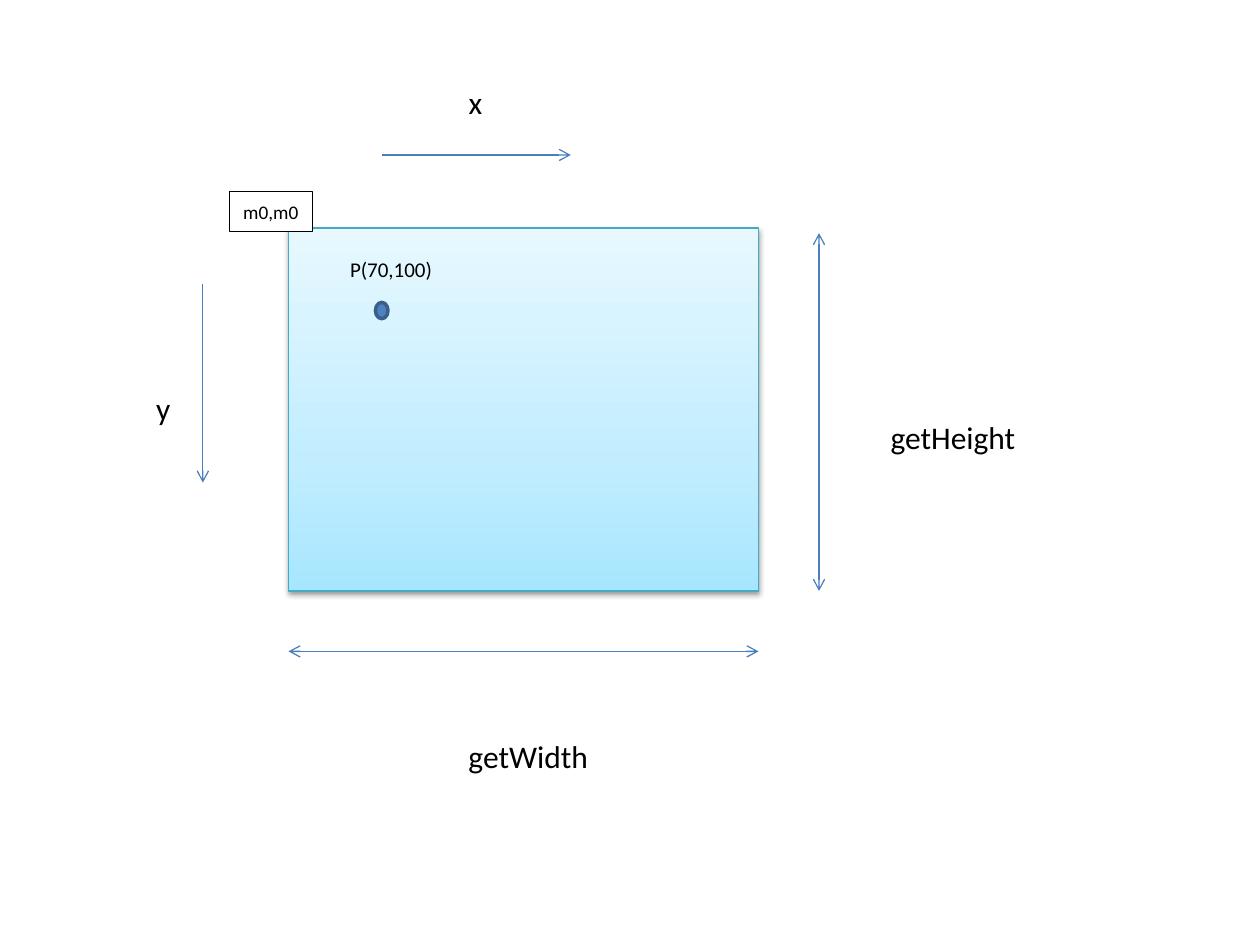
import pptx
import pptx.util
import pptx.dml.color
import pptx.enum.shapes
import pptx.enum.text
import pptx.oxml
import pptx.oxml.ns
from lxml import etree

THEME = {
    "font": "Calibri", "ink": "000000", "paper": "FFFFFF",
    "arrow": "4B7EBC", "panel_line": "46AAC5",
    "panel_stops": [(0, "A7E6FF"), (35, "C1EDFF"), (100, "E7F8FF")],
    "point": "4F81BD", "point_line": "3A5F8C",
    "label": 18, "point_label": 12, "origin_label": 11,
}
SLIDE = (10, 7.5)
LEFT, TOP, WIDTH, HEIGHT = PANEL = (2.29, 1.81, 3.73, 2.88)
RIGHT, BOTTOM = LEFT + WIDTH, TOP + HEIGHT
ORIGIN = (1.82, 1.52, 0.66, 0.32)
POINT = (2.98, 2.4, 0.1, 0.13)
POINT_X = POINT[0] + POINT[2] / 2

# start, end, arrowhead at both ends
ARROWS = [
    ((POINT_X, 1.23), (POINT_X + 1.5, 1.23), False),
    ((1.61, 2.25), (1.61, 3.83), False),
    ((LEFT, 5.17), (RIGHT, 5.17), True),
    ((6.5, 1.85), (6.5, BOTTOM), True),
]
# text, place, size, wrap
LABELS = [
    ("x", (3.62, 0.61, 0.31, 0.4), "label", False),
    ("y", (1.14, 3.04, 0.32, 0.4), "label", False),
    ("getWidth", (3.62, 5.8, 1.16, 0.4), "label", False),
    ("getHeight", (6.97, 3.27, 1.2, 0.4), "label", False),
    ("P(70,100)", (2.68, 1.99, 1.1, 0.3), "point_label", True),
]
KINDS = pptx.enum.shapes.MSO_SHAPE


def inches(values):
    """Turn numbers into lengths."""
    return [pptx.util.Inches(value) for value in values]


def color(name):
    """Look up a theme colour."""
    return pptx.dml.color.RGBColor.from_string(THEME[name])


def add_node(parent, tag, **attributes):
    """Append a drawing element with the given attributes."""
    node = etree.SubElement(parent, pptx.oxml.ns.qn("a:" + tag))
    for key, value in attributes.items():
        node.set(key, str(value))
    return node


def set_line(line, name, points):
    """Set an outline's colour and width."""
    line.color.rgb = color(name)
    line.width = pptx.util.Pt(points)


def add_box(page, kind, place, fill, line, points):
    """Add a preset shape without shadow; fill None leaves the fill open."""
    box = page.shapes.add_shape(kind, *inches(place))
    box.shadow.inherit = False
    if fill:
        box.fill.solid()
        box.fill.fore_color.rgb = color(fill)
    set_line(box.line, line, points)
    return box


def set_text(box, text, size, wrap):
    """Write one line of text in the theme font."""
    box.text_frame.word_wrap = wrap
    para = box.text_frame.paragraphs[0]
    para.text = text
    para.font.name = THEME["font"]
    para.font.size = pptx.util.Pt(THEME[size])
    para.font.color.rgb = color("ink")


def add_panel(page):
    """Add the shaded component area with its gradient and shadow."""
    panel = add_box(page, KINDS.RECTANGLE, PANEL, None, "panel_line", 0.75)
    panel.fill.gradient()
    panel.fill.gradient_angle = 90
    properties = panel._element.spPr
    stops = properties.find(".//" + pptx.oxml.ns.qn("a:gsLst"))
    for stop in list(stops):
        stops.remove(stop)
    for position, value in THEME["panel_stops"]:
        stop = add_node(stops, "gs", pos=position * 1000)
        add_node(stop, "srgbClr", val=value)
    effects = properties.find(pptx.oxml.ns.qn("a:effectLst"))
    shadow = add_node(effects, "outerShdw", blurRad=pptx.util.Pt(3.1),
                      dist=pptx.util.Pt(1.6), dir=90 * 60000, rotWithShape=0)
    add_node(add_node(shadow, "srgbClr", val=THEME["ink"]), "alpha", val=38000)


def add_arrow(page, start, end, both):
    """Add a straight arrow, with heads at one end or both."""
    arrow = page.shapes.add_connector(
        pptx.enum.shapes.MSO_CONNECTOR.STRAIGHT, *inches(start + end))
    set_line(arrow.line, "arrow", 0.75)
    outline = arrow.line._get_or_add_ln()
    for tag in ("headEnd", "tailEnd") if both else ("tailEnd",):
        add_node(outline, tag, type="arrow")
    add_node(arrow._element.spPr, "effectLst")


def add_label(page, text, place, size, wrap):
    """Add a free text label."""
    box = page.shapes.add_textbox(*inches(place))
    set_text(box, text, size, wrap)
    box.text_frame.auto_size = pptx.enum.text.MSO_AUTO_SIZE.SHAPE_TO_FIT_TEXT


def build():
    """Build and save the coordinate diagram."""
    deck = pptx.Presentation()
    deck.slide_width, deck.slide_height = inches(SLIDE)
    page = deck.slides.add_slide(deck.slide_layouts[6])
    add_panel(page)
    origin = add_box(page, KINDS.RECTANGLE, ORIGIN, "paper", "ink", 0.5)
    set_text(origin, "m0,m0", "origin_label", False)
    for arrow in ARROWS:
        add_arrow(page, *arrow)
    add_box(page, KINDS.OVAL, POINT, "point", "point_line", 2)
    for label in LABELS:
        add_label(page, *label)
    deck.save("out.pptx")


build()
